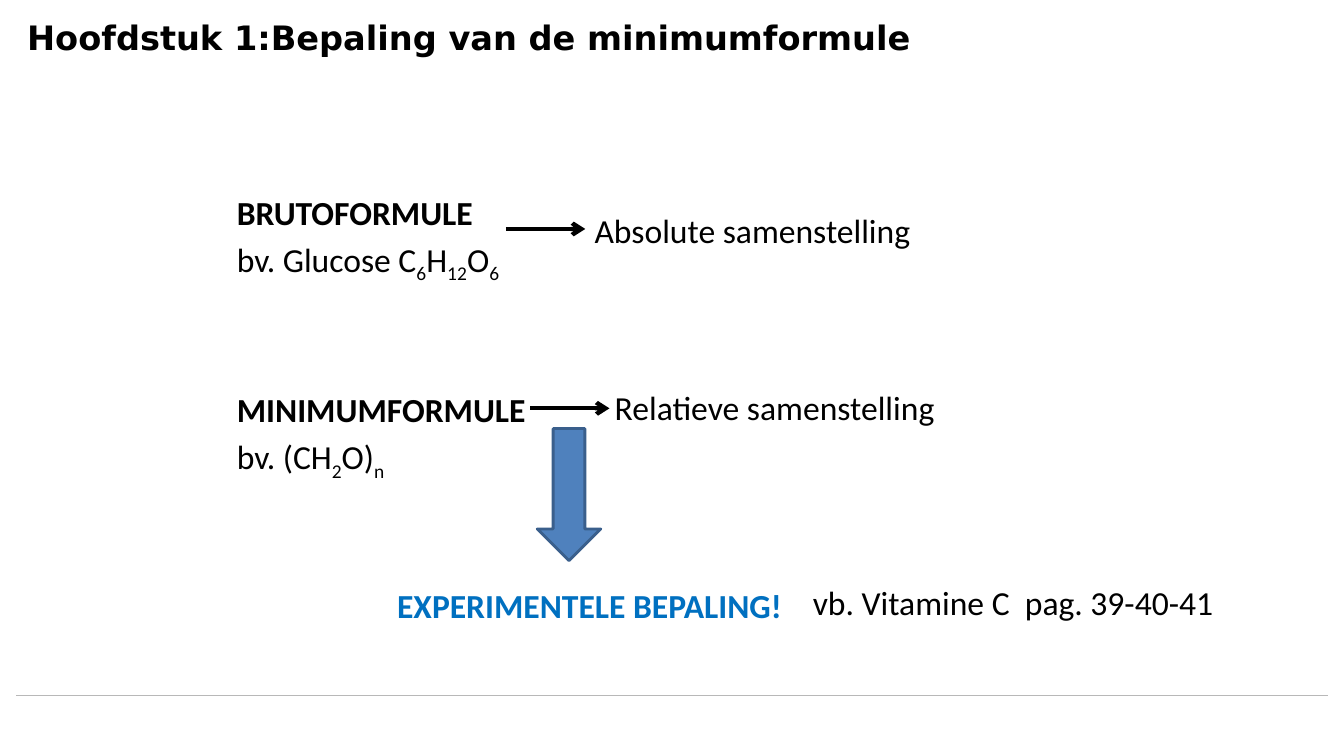
from pptx import Presentation
from pptx.dml.color import RGBColor
from pptx.enum import shapes, text
from pptx.oxml import ns, xmlchemy
from pptx.util import Cm, Pt

TITLE = "Hoofdstuk 1:Bepaling van de minimumformule"
LEFT, RIGHT = text.PP_ALIGN.LEFT, text.PP_ALIGN.RIGHT
BLACK, BLUE = "000000", "0070C0"

FORMULAS = [
    ((5.72, 4.7, 8.2, 2.51), "BRUTOFORMULE", "bv. Glucose C~6~H~12~O~6~"),
    ((5.72, 9.68, 7.85, 2.51), "MINIMUMFORMULE", "bv. (CH~2~O)~n~"),
]
LABELS = [
    ((14.66, 5.16, 8.53, 1.27), "Absolute samenstelling", BLACK, False),
    ((15.14, 9.63, 8.66, 1.27), "Relatieve samenstelling", BLACK, False),
    ((9.65, 14.61, 10.31, 1.27), "EXPERIMENTELE BEPALING!", BLUE, True),
    ((19.96, 14.53, 10.87, 1.27), "vb. Vitamine C  pag. 39-40-41", BLACK, False),
]
ARROWS = [(12.75, 5.77), (13.36, 10.29)]
REACH = 2
DOWN = (13.54, 10.8, 1.6, 3.33)
RULE = (0.41, 17.53, 33.07)


def paint(hue):
    return RGBColor.from_string(hue)


def write(para, words, font="Calibri", hue=BLACK, bold=False, align=LEFT, gap=4.8):
    para.alignment = align
    para.space_before = Pt(gap)
    for i, part in enumerate(words.split("~")):
        if not part:
            continue
        run = para.add_run()
        run.text = part
        run.font.name = font
        run.font.size = Pt(24)
        run.font.bold = bold
        run.font.color.rgb = paint(hue)
        if i % 2:
            run._r.get_or_add_rPr().set("baseline", "-25000")


def add_box(slide, place):
    frame = slide.shapes.add_textbox(*map(Cm, place)).text_frame
    frame.word_wrap = False
    frame.auto_size = text.MSO_AUTO_SIZE.SHAPE_TO_FIT_TEXT
    return frame


def add_line(slide, x, y, end, hue, width, head=False):
    line = slide.shapes.add_connector(
        shapes.MSO_CONNECTOR.STRAIGHT, Cm(x), Cm(y), Cm(end), Cm(y))
    line.line.color.rgb = paint(hue)
    line.line.width = Pt(width)
    if head:
        tail = xmlchemy.OxmlElement("a:tailEnd")
        tail.set("type", "arrow")
        line.line._get_or_add_ln().append(tail)
    props = line._element.find(ns.qn("p:spPr"))
    props.append(xmlchemy.OxmlElement("a:effectLst"))


def main():
    deck = Presentation()
    deck.slide_width, deck.slide_height = Cm(33.87), Cm(19.05)
    slide = deck.slides.add_slide(deck.slide_layouts[5])

    add_line(slide, RULE[0], RULE[1], RULE[0] + RULE[2], "B8B8B8", 0.5)

    title = slide.shapes.title
    title.left, title.top, title.width, title.height = map(Cm, (0.43, 0.33, 31.78, 1.19))
    title.text_frame.vertical_anchor = text.MSO_ANCHOR.MIDDLE
    write(title.text_frame.paragraphs[0], TITLE, font="DejaVu Sans", bold=True, gap=0)

    for place, name, sample in FORMULAS:
        frame = add_box(slide, place)
        write(frame.paragraphs[0], name, bold=True)
        write(frame.add_paragraph(), sample)

    for place, words, hue, bold in LABELS:
        write(add_box(slide, place).paragraphs[0], words, hue=hue, bold=bold, align=RIGHT)

    for x, y in ARROWS:
        add_line(slide, x, y, x + REACH, BLACK, 3, head=True)

    down = slide.shapes.add_shape(shapes.MSO_SHAPE.DOWN_ARROW, *map(Cm, DOWN))
    down.shadow.inherit = False
    down.fill.solid()
    down.fill.fore_color.rgb = paint("4F81BD")
    down.line.color.rgb = paint("3A5F8C")
    down.line.width = Pt(2)

    deck.save("out.pptx")


if __name__ == "__main__":
    main()
